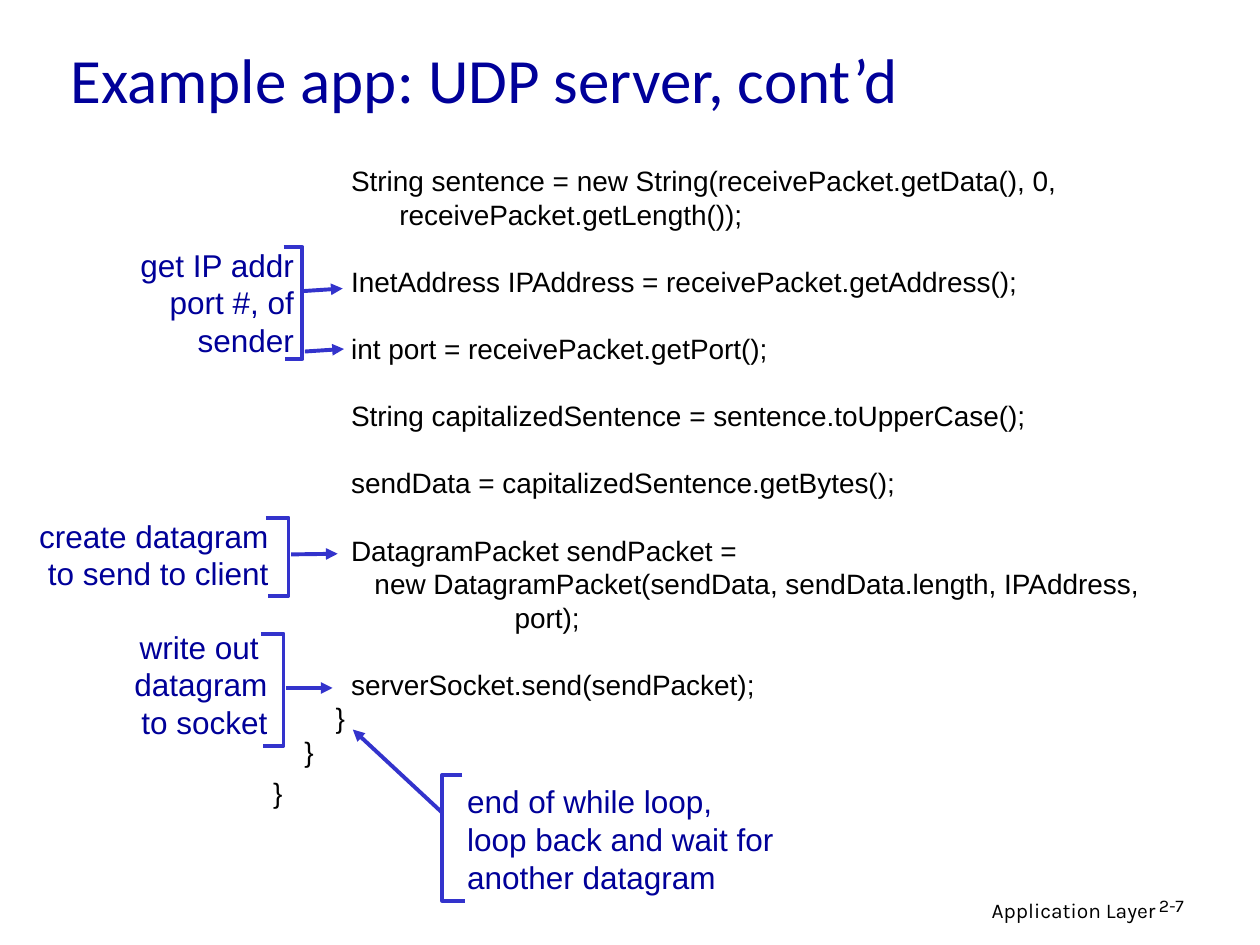
from lxml.etree import SubElement
from pptx import Presentation
from pptx.dml.color import RGBColor
from pptx.enum.shapes import MSO_CONNECTOR
from pptx.enum.text import MSO_ANCHOR as Anchor, PP_ALIGN as Align
from pptx.oxml.ns import qn
from pptx.util import Inches, Pt

NAVY = RGBColor(0x00, 0x00, 0x99)
BLUE = RGBColor(0x33, 0x33, 0xCC)
BLACK = RGBColor(0x00, 0x00, 0x00)
COLUMNS, ROWS = 100, 75

CODE_SIZE, CODE_PITCH = 16, 19.2
CODE_SPACE = 4.45  # width of one blank in the code, in points

# Each entry: indent in blanks, points of space above, code
CODE = [
    (10, 0, "String sentence = new String(receivePacket.getData(), 0,"),
    (16.2, 0, "receivePacket.getLength());"),
    (10, CODE_PITCH, "InetAddress IPAddress = receivePacket.getAddress();"),
    (10, CODE_PITCH, "int port = receivePacket.getPort();"),
    (10, CODE_PITCH, "String capitalizedSentence = sentence.toUpperCase();"),
    (10, CODE_PITCH, "sendData = capitalizedSentence.getBytes();"),
    (10, CODE_PITCH, "DatagramPacket sendPacket ="),
    (13, 0, "new DatagramPacket(sendData, sendData.length, IPAddress,"),
    (31, 0, "port);"),
    (10, CODE_PITCH, "serverSocket.send(sendPacket);"),
    (8, 0, "}"),
    (4, 0, "}"),
    (0, 4.3, "}"),
]

# Each entry: label box, alignment, lines,
# bracket (spine column, upper tip, lower tip, top row, bottom row), arrows
NOTES = [
    ((1.4, 19, 22.9, 10), Align.RIGHT, ["get IP addr", "port #, of", "sender"],
     (24, 22.5, 22.6, 19.6, 28.5),
     [((24.1, 23.1), (27.2, 22.9)), ((24.2, 27.9), (27.3, 27.7))]),
    ((1.3, 40.5, 21, 7), Align.RIGHT, ["create datagram", "to send to client"],
     (22.9, 21.1, 21.3, 41.1, 47.3),
     [((23.1, 44), (26.8, 43.95))]),
    ((8, 49.3, 14.2, 10), Align.RIGHT, ["write out ", "datagram", "to socket"],
     (22.5, 20.7, 20.9, 50.3, 59.2),
     [((22.7, 54.6), (26.4, 54.6))]),
    ((36.1, 61.6, 28, 10), Align.LEFT,
     ["end of while loop,", "loop back and wait for", "another datagram"],
     (35.1, 36.7, 36.9, 61.5, 71.5),
     [((35.1, 64.5), (28, 57.9))]),
]


class SlideWriter:
    """Draws on one slide; all lengths are columns and rows of its grid."""

    def __init__(self, deck):
        self.shapes = deck.slides.add_slide(deck.slide_layouts[6]).shapes
        self.column = deck.slide_width / COLUMNS
        self.row = deck.slide_height / ROWS

    def place(self, column, row):
        return round(column * self.column), round(row * self.row)

    def text(self, box, lines, size, font, color, align=Align.LEFT,
             anchor=Anchor.TOP, spacing=None):
        """Add a text box with one paragraph a line and return its paragraphs."""
        frame = self.shapes.add_textbox(*self.place(*box[:2]), *self.place(*box[2:])).text_frame
        frame.word_wrap = True
        frame.vertical_anchor = anchor
        frame.text = "\n".join(lines)
        for paragraph in frame.paragraphs:
            paragraph.alignment = align
            paragraph.line_spacing = spacing
            for run in paragraph.runs:
                run.font.size, run.font.name = Pt(size), font
                run.font.color.rgb = color
        return frame.paragraphs

    def code(self, box, entries):
        indents, gaps, lines = zip(*entries)
        paragraphs = self.text(box, lines, CODE_SIZE, "Arial", BLACK, spacing=Pt(CODE_PITCH))
        for paragraph, indent, gap in zip(paragraphs, indents, gaps):
            paragraph.space_before = Pt(gap)
            paragraph._p.get_or_add_pPr().set("marL", str(Pt(indent * CODE_SPACE)))

    def stroke(self, line):
        line.color.rgb = BLUE
        line.width = Pt(2.25)

    def bracket(self, spine, upper_tip, lower_tip, top, bottom):
        corners = [(upper_tip, top), (spine, top), (spine, bottom), (lower_tip, bottom)]
        start, *rest = [self.place(*corner) for corner in corners]
        builder = self.shapes.build_freeform(*start)
        builder.add_line_segments(rest, close=False)
        outline = builder.convert_to_shape()
        outline.shadow.inherit = False
        outline.fill.background()
        self.stroke(outline.line)

    def arrow(self, start, end):
        connector = self.shapes.add_connector(
            MSO_CONNECTOR.STRAIGHT, *self.place(*start), *self.place(*end))
        self.stroke(connector.line)
        SubElement(connector.line._get_or_add_ln(), qn("a:tailEnd"), type="triangle")
        SubElement(connector._element.spPr, qn("a:effectLst"))

    def note(self, box, align, lines, bracket, arrows):
        self.text(box, lines, 18, "Arial", NAVY, align, Anchor.MIDDLE, Pt(21.5))
        self.bracket(*bracket)
        for start, end in arrows:
            self.arrow(start, end)


def main():
    deck = Presentation()
    deck.slide_width, deck.slide_height = Inches(10), Inches(7.5)
    slide = SlideWriter(deck)
    slide.text((61, 70.7, 31.7, 3.1), ["Application Layer"], 12, "Karla", BLACK, Align.RIGHT)
    slide.text((91, 70.7, 7.4, 3), ["2-7"], 10.2, "Karla", BLACK, spacing=0.9)
    slide.text((4.6, 1, 85, 10.4), ["Example app: UDP server, cont’d"], 36, "Calibri", NAVY,
               anchor=Anchor.MIDDLE)
    slide.code((20.7, 12.5, 71.5, 52.4), CODE)
    for note in NOTES:
        slide.note(*note)
    deck.save("out.pptx")


if __name__ == "__main__":
    main()
